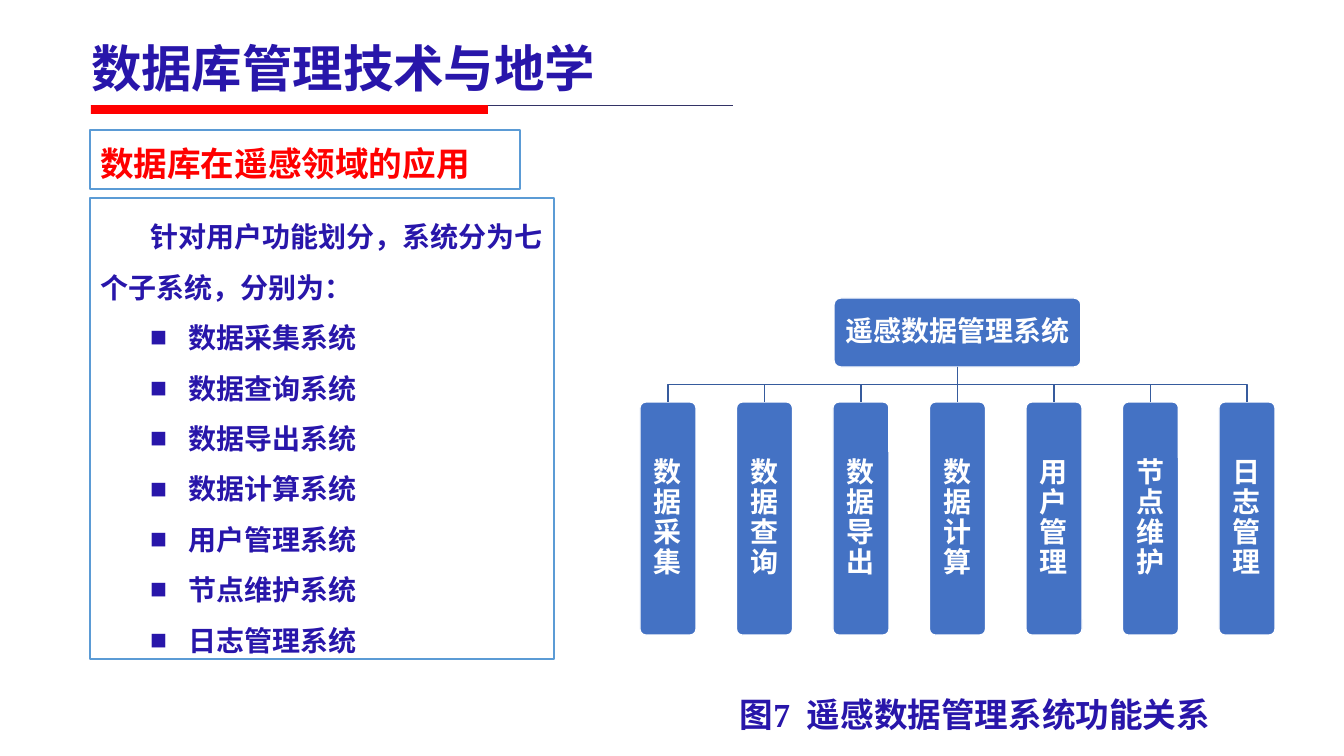
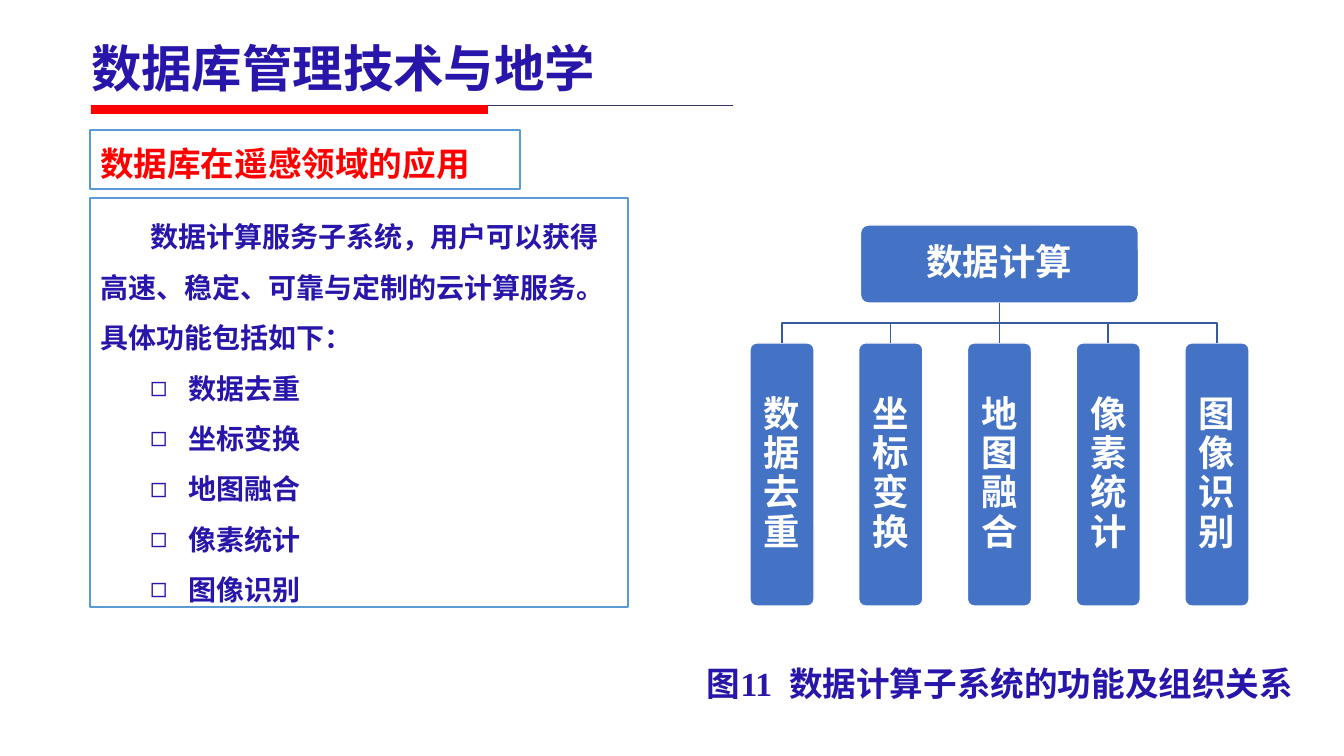
from lxml import etree
from pptx import Presentation
from pptx import util as u
from pptx.dml.color import RGBColor
from pptx.enum import shapes, text
from pptx.oxml.ns import qn

SCALE = 914400 / 100.8
SANS, SERIF = "Noto Sans CJK SC", "Times New Roman"
INK, RED, WHITE = "2816AA", "FF0000", "FFFFFF"
FRAME, NODE, LINK, RULE = "5B9BD5", "4472C4", "365B9D", "333366"

TITLE = "数据库管理技术与地学"
SUBHEAD = "数据库在遥感领域的应用"
SLIDES = [
    dict(
        intro="针对用户功能划分，系统分为七个子系统，分别为：",
        bullet="■",
        items=["数据采集系统", "数据查询系统", "数据导出系统", "数据计算系统",
               "用户管理系统", "节点维护系统", "日志管理系统"],
        list_box=(90, 198, 464, 461),
        number="7", caption="遥感数据管理系统功能关系", caption_box=(718, 689, 514, 50),
        root="遥感数据管理系统", root_top=298, root_size=(247, 69),
        branches=["数据采集", "数据查询", "数据导出", "数据计算",
                  "用户管理", "节点维护", "日志管理"],
        branch_top=402, branch_size=(56, 233), branch_span=(640, 1275), node_pt=20,
    ),
    dict(
        intro="数据计算服务子系统，用户可以获得高速、稳定、可靠与定制的云计算服务。具体功能包括如下：",
        bullet="◻",
        items=["数据去重", "坐标变换", "地图融合", "像素统计", "图像识别"],
        list_box=(90, 198, 538, 409),
        number="11", caption="数据计算子系统的功能及组织关系", caption_box=(678, 658, 644, 50),
        root="数据计算", root_top=225, root_size=(278, 78),
        branches=["数据去重", "坐标变换", "地图融合", "像素统计", "图像识别"],
        branch_top=343, branch_size=(64, 263), branch_span=(750, 1249), node_pt=26,
    ),
]


def px(length):
    return u.Emu(round(length * SCALE))


def rgb(color):
    return RGBColor.from_string(color)


def place(box, left, top, width, height):
    box.left, box.top, box.width, box.height = map(px, (left, top, width, height))
    return box


def paint(box, fill, line):
    box.fill.solid()
    box.fill.fore_color.rgb = rgb(fill)
    if line:
        box.line.color.rgb = rgb(line)
        box.line.width = u.Pt(1)
    else:
        box.line.fill.background()


def write(paragraph, words, size, color=INK, font=SANS, align="LEFT", spacing=1.0,
          after=0, level=0, margin=0, indent=0, bullet=None, tracking=0):
    paragraph.alignment = getattr(text.PP_ALIGN, align)
    paragraph.line_spacing = spacing
    paragraph.space_before, paragraph.space_after = u.Pt(0), u.Pt(after)
    paragraph.level = level
    if not paragraph.runs:
        properties = paragraph._p.get_or_add_pPr()
        properties.set("marL", str(px(margin)))
        properties.set("indent", str(px(indent)))
        if bullet:
            etree.SubElement(properties, qn("a:buFont")).set("typeface", SERIF)
            etree.SubElement(properties, qn("a:buChar")).set("char", bullet)
        else:
            etree.SubElement(properties, qn("a:buNone"))
    run = paragraph.add_run()
    run.text = words
    run.font.size, run.font.bold = u.Pt(size), True
    run.font.color.rgb = rgb(color)
    run.font.name = font
    east_asian = etree.SubElement(run._r.get_or_add_rPr(), qn("a:ea"))
    east_asian.set("typeface", SANS)
    if tracking:
        run._r.get_or_add_rPr().set("spc", str(tracking))


def set_frame(box, anchor="TOP", inset=None):
    frame = box.text_frame
    frame.word_wrap = True
    frame.auto_size = text.MSO_AUTO_SIZE.NONE
    frame.vertical_anchor = getattr(text.MSO_ANCHOR, anchor)
    if inset is not None:
        frame.margin_left = frame.margin_right = px(inset)
        frame.margin_top = frame.margin_bottom = px(inset)
    return frame.paragraphs[0]


def draw_line(slide, x1, y1, x2, y2, color, width=1):
    line = slide.shapes.add_connector(
        shapes.MSO_CONNECTOR.STRAIGHT, px(x1), px(y1), px(x2), px(y2))
    line.line.color.rgb = rgb(color)
    line.line.width = u.Pt(width)
    etree.SubElement(line._element.spPr, qn("a:effectLst"))
    return line


def draw_elbow(slide, start, end):
    (x1, y1), (x2, y2) = start, end
    bus = (y1 + y2) / 2
    outline = slide.shapes.build_freeform(px(x1), px(y1))
    corners = [(x1, bus), (x2, bus), (x2, y2)]
    outline.add_line_segments([(px(x), px(y)) for x, y in corners], close=False)
    elbow = outline.convert_to_shape()
    elbow.shadow.inherit = False
    elbow.fill.background()
    elbow.line.color.rgb = rgb(LINK)
    elbow.line.width = u.Pt(1)


def add_header(slide):
    title = place(slide.shapes.title, 81, 32, 680, 64)
    write(set_frame(title, "MIDDLE"), TITLE, 36, spacing=1.1)
    draw_line(slide, 91, 105, 733, 105, RULE, 0.5)
    band = slide.shapes.add_shape(
        shapes.MSO_SHAPE.RECTANGLE, px(91), px(105), px(397), px(9))
    band.shadow.inherit = False
    paint(band, RED, None)
    subhead = place(slide.placeholders[1], 90, 130, 430, 59)
    paint(subhead, WHITE, FRAME)
    write(set_frame(subhead), SUBHEAD, 24, RED, SERIF, spacing=1.2, after=6)


def add_list(slide, content):
    box = place(slide.placeholders[2], *content["list_box"])
    paint(box, WHITE, FRAME)
    write(set_frame(box), content["intro"], 20, spacing=1.5, indent=50)
    for item in content["items"]:
        write(box.text_frame.add_paragraph(), item, 20, spacing=1.5, level=1,
              margin=88, indent=-38, bullet=content["bullet"])


def add_caption(slide, content):
    box = slide.shapes.add_textbox(*map(px, content["caption_box"]))
    paragraph = set_frame(box)
    write(paragraph, "图", 24, align="CENTER")
    write(paragraph, content["number"], 24, font=SERIF, align="CENTER")
    write(paragraph, " ", 24, font=SERIF, align="CENTER", tracking=600)
    write(paragraph, content["caption"], 24, font=SERIF, align="CENTER")


def add_node(slide, words, left, top, size, points):
    node = slide.shapes.add_shape(
        shapes.MSO_SHAPE.ROUNDED_RECTANGLE, *map(px, (left, top, *size)))
    node.adjustments[0] = 0.1
    node.shadow.inherit = False
    paint(node, NODE, WHITE)
    write(set_frame(node, "MIDDLE", 9), words, points, WHITE, align="CENTER", spacing=0.9)
    return node


def add_tree(slide, content):
    first, last = content["branch_span"]
    width = content["branch_size"][0]
    center = (first + last) / 2
    root_width, root_height = content["root_size"]
    root_bottom = content["root_top"] + root_height
    top = content["branch_top"]
    count = len(content["branches"])
    pitch = (last - first - width) / (count - 1)

    root = add_node(slide, content["root"], center - root_width / 2,
                    content["root_top"], content["root_size"], content["node_pt"])
    for index, name in enumerate(content["branches"]):
        left = first + index * pitch
        branch = add_node(slide, name, left, top, content["branch_size"], content["node_pt"])
        if index == count // 2:
            stem = draw_line(slide, center, root_bottom, center, top, LINK)
            stem.begin_connect(root, 2)
            stem.end_connect(branch, 0)
        else:
            draw_elbow(slide, (center, root_bottom), (left + width / 2, top))


def main():
    deck = Presentation()
    deck.slide_width, deck.slide_height = px(1344), px(756)
    for content in SLIDES:
        slide = deck.slides.add_slide(deck.slide_layouts[3])
        add_header(slide)
        add_list(slide, content)
        add_caption(slide, content)
        add_tree(slide, content)
    deck.save("out.pptx")


if __name__ == "__main__":
    main()
